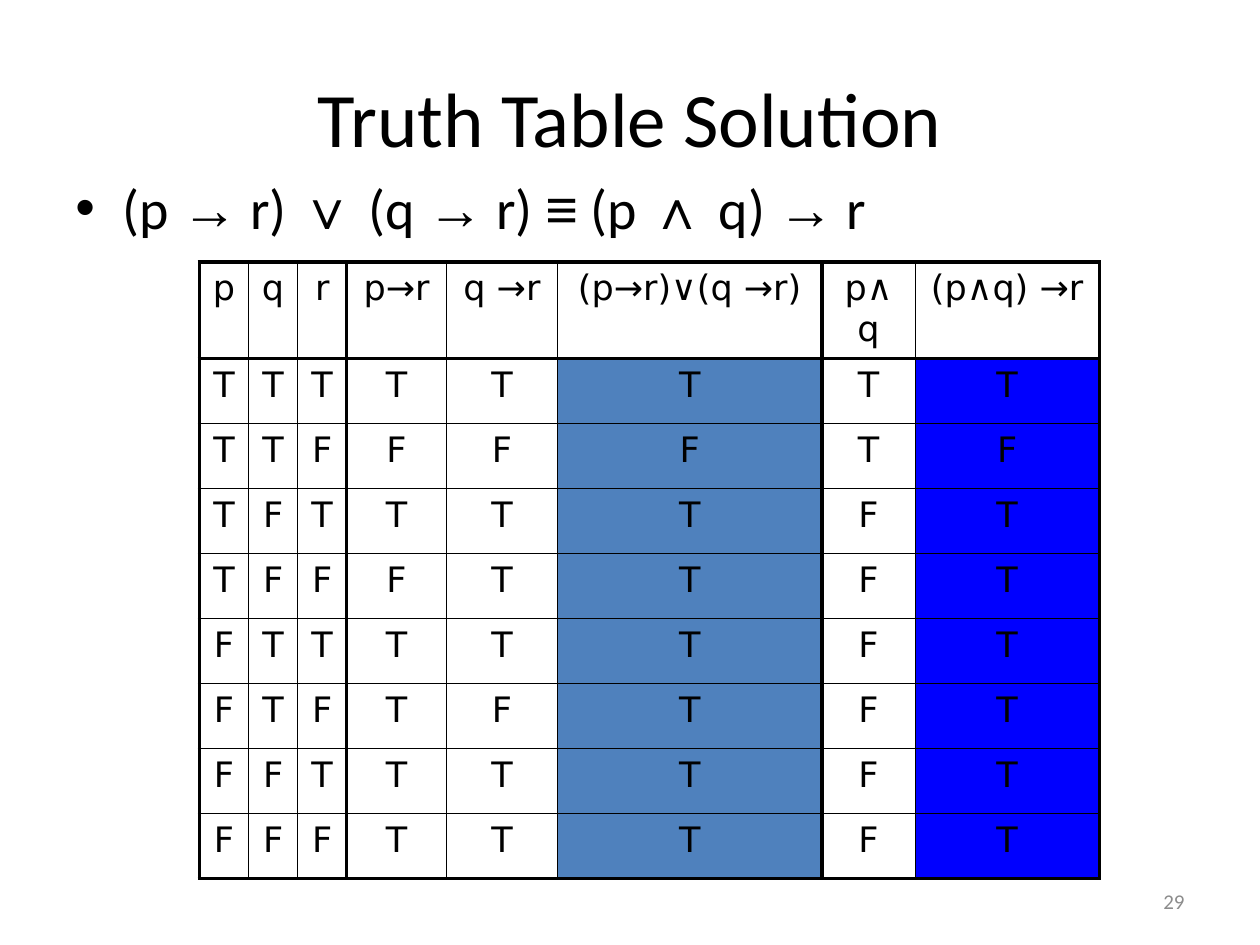
from itertools import product

from lxml import etree
from pptx import Presentation
from pptx.dml.color import RGBColor
from pptx.enum.text import MSO_ANCHOR, PP_ALIGN
from pptx.oxml.ns import qn
from pptx.util import Cm, Pt

BLACK, GRAY, STEEL, BLUE = "000000", "8C8C8C", "4F81BD", "0000FF"
COLUMN_WIDTHS = [0.99, 0.99, 0.99, 2.01, 2.24, 5.33, 1.88, 3.71]
ROW_HEIGHT = 1.31
HEADINGS = ["p", "q", "r", "p→r", "q →r", "(p→r)∨(q →r)", "p∧q", "(p∧q) →r"]
RESULT_FILLS = {5: STEEL, 7: BLUE}
GROUP_STARTS, GROUP_ENDS = {0, 3, 6}, {2, 5, 7}
THICK, THIN = 2.25, 0.25


def color(value):
    return RGBColor.from_string(value)


def add_run(paragraph, text, font, size, text_color=BLACK):
    run = paragraph.add_run()
    run.text = text
    run.font.name = font
    run.font.size = Pt(size)
    run.font.color.rgb = color(text_color)


def add_paragraph_box(slide, box, align, anchor):
    """Add a wrapping text box and return its first paragraph."""
    frame = slide.shapes.add_textbox(*map(Cm, box)).text_frame
    frame.word_wrap = True
    frame.vertical_anchor = anchor
    paragraph = frame.paragraphs[0]
    paragraph.alignment = align
    return paragraph


def add_title(slide, box):
    title = add_paragraph_box(slide, box, PP_ALIGN.CENTER, MSO_ANCHOR.MIDDLE)
    add_run(title, "Truth Table Solution", "Calibri", 44)


def add_equivalence(slide, box):
    """Add the bulleted formula, with its logic symbols in Arial."""
    formula = add_paragraph_box(slide, box, PP_ALIGN.LEFT, MSO_ANCHOR.TOP)
    properties = formula._p.get_or_add_pPr()
    properties.set("marL", str(Cm(0.95)))
    properties.set("indent", str(Cm(-0.95)))
    etree.SubElement(properties, qn("a:buFont"), typeface="Arial")
    etree.SubElement(properties, qn("a:buChar"), char="•")
    for part in ("(p ", "→", " r) ", "∨", " (q ", "→", " r) ", "≡",
                 " (p ", "∧", " q) ", "→", " r"):
        add_run(formula, part, "Arial" if part in "→∨∧≡" else "Calibri", 32)


def truth_rows():
    """Yield the letters of each row, evaluated from p, q and r."""
    for p, q, r in product((True, False), repeat=3):
        p_r, q_r = not p or r, not q or r
        values = (p, q, r, p_r, q_r, p_r or q_r, p and q, not (p and q) or r)
        yield ["T" if value else "F" for value in values]


def set_borders(cell, widths):
    properties = cell._tc.get_or_add_tcPr()
    for side, width in widths.items():
        line = etree.SubElement(properties, qn(f"a:ln{side}"), w=str(Pt(width)))
        fill = etree.SubElement(line, qn("a:solidFill"))
        etree.SubElement(fill, qn("a:srgbClr"), val=BLACK)


def add_truth_table(slide, left, top):
    rows = [HEADINGS, *truth_rows()]
    last = len(rows) - 1
    table = slide.shapes.add_table(
        len(rows), len(HEADINGS), Cm(left), Cm(top),
        Cm(sum(COLUMN_WIDTHS)), Cm(ROW_HEIGHT * len(rows))).table
    table.first_row = table.horz_banding = False
    for column, width in zip(table.columns, COLUMN_WIDTHS):
        column.width = Cm(width)
    for i, letters in enumerate(rows):
        table.rows[i].height = Cm(ROW_HEIGHT)
        for j, letter in enumerate(letters):
            cell = table.cell(i, j)
            set_borders(cell, {
                "L": THICK if j in GROUP_STARTS else THIN,
                "R": THICK if j in GROUP_ENDS else THIN,
                "T": THICK if i in (0, 1) else THIN,
                "B": THICK if i in (0, last) else THIN})
            if i > 0 and j in RESULT_FILLS:
                cell.fill.solid()
                cell.fill.fore_color.rgb = color(RESULT_FILLS[j])
            else:
                cell.fill.background()
            paragraph = cell.text_frame.paragraphs[0]
            paragraph.alignment = PP_ALIGN.CENTER
            add_run(paragraph, letter, "DejaVu Sans", 20)


def add_page_number(slide, box):
    number = add_paragraph_box(slide, box, PP_ALIGN.RIGHT, MSO_ANCHOR.MIDDLE)
    add_run(number, "29", "Calibri", 12, GRAY)


def main():
    deck = Presentation()
    deck.slide_width, deck.slide_height = Cm(25.4), Cm(19.05)
    slide = deck.slides.add_slide(deck.slide_layouts[6])
    add_title(slide, (1.27, 0.76, 22.86, 3.18))
    add_equivalence(slide, (1.27, 3.38, 22.86, 13.64))
    add_truth_table(slide, 4.02, 5.28)
    add_page_number(slide, (18.2, 17.66, 5.93, 1.01))
    deck.save("out.pptx")


if __name__ == "__main__":
    main()
